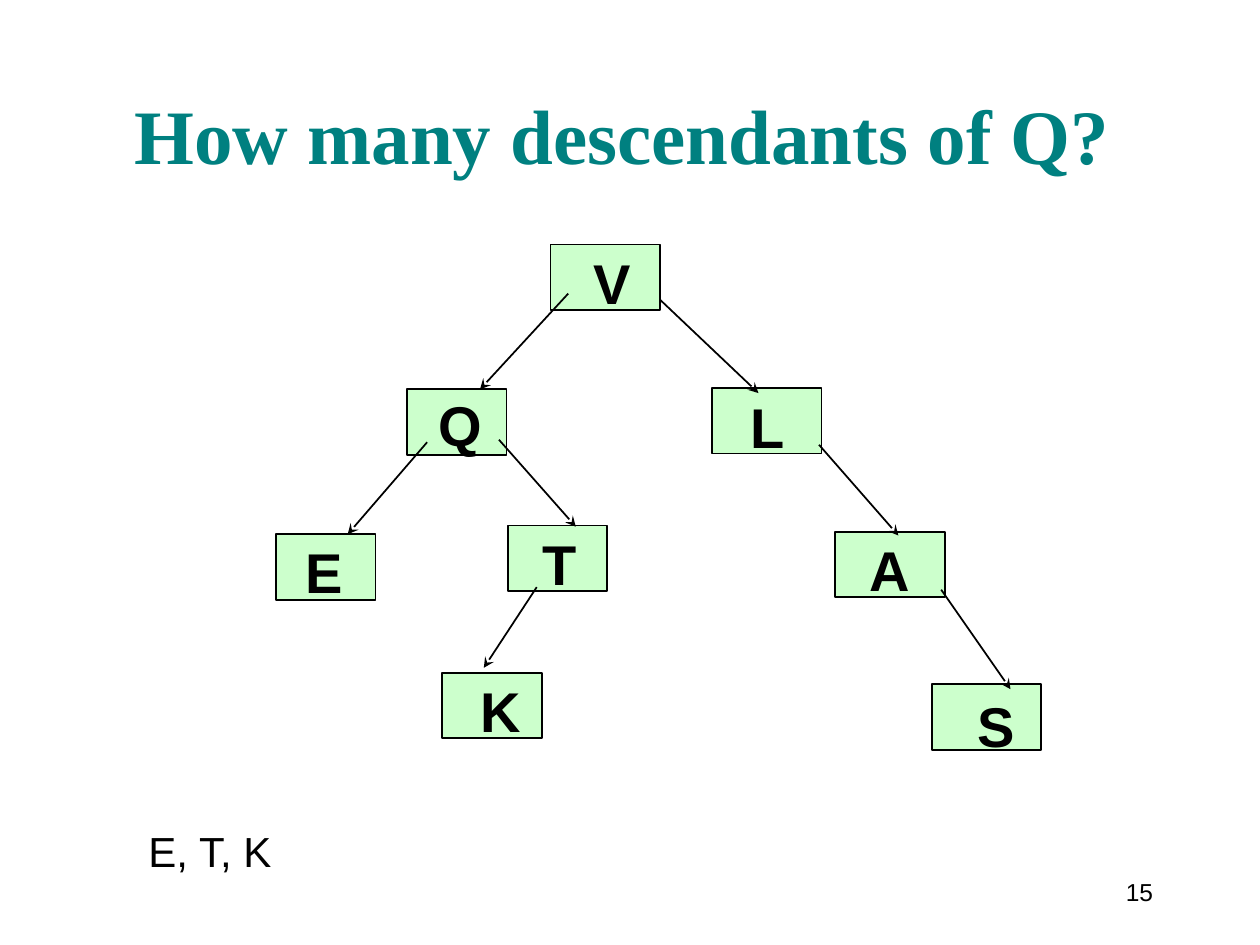
from pptx import Presentation
from pptx.dml.color import RGBColor
from pptx.enum.shapes import MSO_CONNECTOR, MSO_SHAPE
from pptx.enum.text import MSO_ANCHOR, PP_ALIGN
from pptx.oxml.ns import qn
from pptx.util import Inches, Pt
from lxml.etree import SubElement

THEME = {
    "title": RGBColor(0x00, 0x80, 0x80),
    "node": RGBColor(0xCC, 0xFF, 0xCC),
    "ink": RGBColor(0x00, 0x00, 0x00),
    "title_font": "Times New Roman",
    "body_font": "Arial",
    "title_size": Pt(44),
    "label_size": Pt(32),
    "answer_size": Pt(24),
    "number_size": Pt(14),
    "line": Pt(1),
}
NODE_H, LABEL_H = 0.52, 0.63

# name: (box left, box top, box width), (label left, label top, label width)
NODES = {
    "V": ((4.37, 1.94, 0.87), (4.33, 1.92, 1.05)),
    "Q": ((3.23, 3.09, 0.79), (3.1, 3.05, 1.1)),
    "L": ((5.65, 3.08, 0.87), (5.58, 3.07, 1.03)),
    "E": ((2.19, 4.24, 0.79), (2.05, 4.22, 1.05)),
    "T": ((4.03, 4.17, 0.79), (3.93, 4.15, 1.03)),
    "A": ((6.63, 4.22, 0.87), (6.56, 4.2, 1.0)),
    "K": ((3.51, 5.34, 0.79), (3.42, 5.32, 1.11)),
    "S": ((7.4, 5.43, 0.86), (7.38, 5.44, 1.05)),
}

# parent end, child end
EDGES = [
    ((4.51, 2.33), (3.81, 3.09)),  # V to Q
    ((5.24, 2.38), (6.02, 3.12)),  # V to L
    ((3.39, 3.51), (2.76, 4.24)),  # Q to E
    ((3.96, 3.49), (4.57, 4.18)),  # Q to T
    ((6.5, 3.53), (7.13, 4.25)),   # L to A
    ((4.26, 4.66), (3.84, 5.3)),   # T to K
    ((7.47, 4.68), (8.02, 5.47)),  # A to S
]


def write(tf, text, size, font=THEME["body_font"], color=THEME["ink"],
          bold=False, align=PP_ALIGN.LEFT, anchor=MSO_ANCHOR.TOP):
    tf.word_wrap = True
    tf.vertical_anchor = anchor
    p = tf.paragraphs[0]
    p.alignment = align
    r = p.add_run()
    r.text = text
    r.font.name = font
    r.font.size = size
    r.font.bold = bold
    r.font.color.rgb = color


def add_text(s, left, top, width, height, text, size, **style):
    box = s.shapes.add_textbox(Inches(left), Inches(top), Inches(width), Inches(height))
    write(box.text_frame, text, size, **style)


prs = Presentation()
prs.slide_width, prs.slide_height = Inches(10), Inches(7.5)
s = prs.slides.add_slide(prs.slide_layouts[5])

title = s.shapes.title
title.left, title.top = Inches(0.65), Inches(0.23)
title.width, title.height = Inches(8.58), Inches(1.25)
write(title.text_frame, "How many descendants of Q?", THEME["title_size"],
      font=THEME["title_font"], color=THEME["title"], bold=True,
      align=PP_ALIGN.CENTER, anchor=MSO_ANCHOR.BOTTOM)

for (left, top, width), _ in NODES.values():
    sp = s.shapes.add_shape(MSO_SHAPE.RECTANGLE, Inches(left), Inches(top),
                            Inches(width), Inches(NODE_H))
    sp.shadow.inherit = False
    sp.fill.solid()
    sp.fill.fore_color.rgb = THEME["node"]
    sp.line.color.rgb = THEME["ink"]
    sp.line.width = THEME["line"]

for (x1, y1), (x2, y2) in EDGES:
    arrow = s.shapes.add_connector(MSO_CONNECTOR.STRAIGHT, Inches(x1), Inches(y1),
                                   Inches(x2), Inches(y2))
    arrow.line.color.rgb = THEME["ink"]
    arrow.line.width = THEME["line"]
    SubElement(arrow.line._get_or_add_ln(), qn("a:tailEnd"), type="stealth")
    SubElement(arrow._element.spPr, qn("a:effectLst"))

for name, (_, (left, top, width)) in NODES.items():
    add_text(s, left, top, width, LABEL_H, name, THEME["label_size"],
             bold=True, align=PP_ALIGN.CENTER)

add_text(s, 1.08, 6.5, 5.75, 0.5, "E, T, K", THEME["answer_size"])
add_text(s, 8.58, 6.83, 0.67, 0.5, "15", THEME["number_size"],
         align=PP_ALIGN.RIGHT, anchor=MSO_ANCHOR.MIDDLE)

prs.save("out.pptx")
